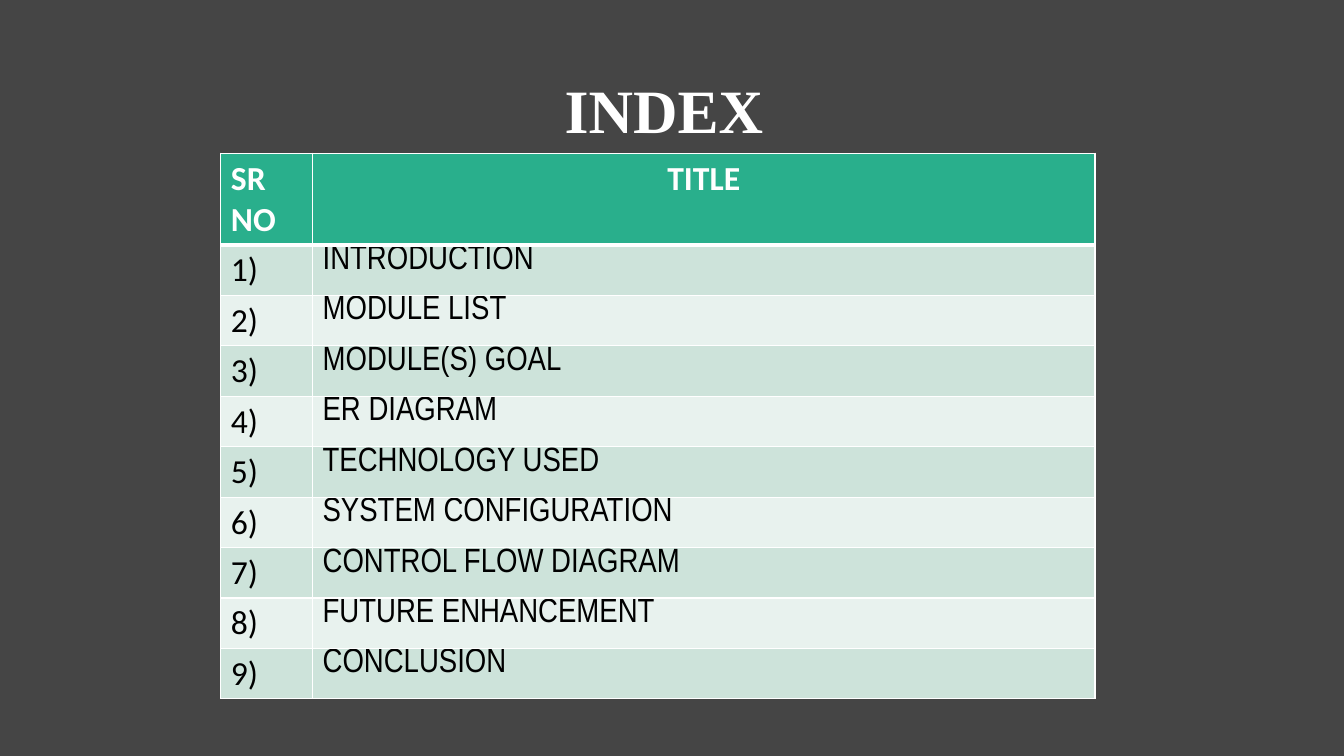
from lxml import etree
from pptx import Presentation
from pptx.dml.color import RGBColor
from pptx.enum import text
from pptx.oxml import ns
from pptx.util import Inches, Pt

WHITE, BLACK, BACKGROUND = "FFFFFF", "000000", "454545"
HEADER_FILL, ROW_FILLS = "29AF8C", ("CDE3DA", "E8F2EE")
TITLES = [
    "INTRODUCTION",
    "MODULE LIST",
    "MODULE(S) GOAL",
    "ER DIAGRAM",
    "TECHNOLOGY USED",
    "SYSTEM CONFIGURATION",
    "CONTROL FLOW DIAGRAM",
    "FUTURE ENHANCEMENT",
    "CONCLUSION",
]


def color(value):
    return RGBColor.from_string(value)


def apply(target, values):
    for name, value in values.items():
        setattr(target, name, value)


class SlideBuilder:
    def __init__(self, slide):
        self.slide = slide
        self.border_color = WHITE
        slide.background.fill.solid()
        slide.background.fill.fore_color.rgb = color(BACKGROUND)

    def add_text(self, frame, content, font_color, paragraph_format, **font):
        paragraph = frame.paragraphs[0]
        apply(paragraph, paragraph_format)
        run = paragraph.add_run()
        run.text = content
        apply(run.font, font)
        run.font.color.rgb = color(font_color)

    def title(self, content, left, top, width, height, indent):
        shape = self.slide.shapes.add_textbox(*map(Inches, (left, top, width, height)))
        frame = shape.text_frame
        apply(frame, {"word_wrap": True, "margin_left": Inches(indent),
                      "vertical_anchor": text.MSO_ANCHOR.MIDDLE})
        self.add_text(frame, content, WHITE, {"line_spacing": 0.9},
                      name="Times New Roman", size=Pt(44), bold=True)

    def border(self, cell, widths):
        properties = cell._tc.get_or_add_tcPr()
        for position, (side, width) in enumerate(widths.items()):
            line = etree.Element(ns.qn(f"a:ln{side}"), w=str(Pt(width)))
            fill = etree.SubElement(line, ns.qn("a:solidFill"))
            etree.SubElement(fill, ns.qn("a:srgbClr"), val=self.border_color)
            properties.insert(position, line)

    def cell(self, cell, content, fill, font_color, font_name, bold, centered, top_margin, widths):
        cell.fill.solid()
        cell.fill.fore_color.rgb = color(fill)
        cell.margin_top = Inches(top_margin)
        alignment = text.PP_ALIGN.CENTER if centered else text.PP_ALIGN.LEFT
        self.add_text(cell.text_frame, content, font_color, {"alignment": alignment},
                      name=font_name, size=Pt(24), bold=bold)
        self.border(cell, widths)

    def index_table(self, titles, left, top, column_widths, header_height, row_height):
        rows = [("SR NO", "TITLE")]
        rows += [(f"{number})", title) for number, title in enumerate(titles, 1)]
        height = header_height + row_height * len(titles)
        frame = self.slide.shapes.add_table(
            len(rows), 2, *map(Inches, (left, top, sum(column_widths), height)))
        table = frame.table
        for column, width in zip(table.columns, column_widths):
            column.width = Inches(width)
        for row_number, contents in enumerate(rows):
            header = row_number == 0
            table.rows[row_number].height = Inches(header_height if header else row_height)
            fill = HEADER_FILL if header else ROW_FILLS[(row_number - 1) % 2]
            widths = {"L": 1, "R": 1, "T": 3 if row_number == 1 else 1, "B": 3 if header else 1}
            for column_number, content in enumerate(contents):
                title_entry = column_number == 1 and not header
                self.cell(table.cell(row_number, column_number), content, fill,
                          WHITE if header else BLACK,
                          "Arial Narrow" if title_entry else "Calibri",
                          bold=header, centered=header and column_number == 1,
                          top_margin=0 if title_entry else 0.05, widths=widths)


presentation = Presentation()
apply(presentation, {"slide_width": Inches(13.33), "slide_height": Inches(7.5)})
builder = SlideBuilder(presentation.slides.add_slide(presentation.slide_layouts[6]))
builder.title("INDEX", 0.92, 0.4, 11.5, 1.45, indent=4.68)
builder.index_table(TITLES, 2.19, 1.52, (0.91, 7.76), header_height=0.91, row_height=0.5)
presentation.save("out.pptx")
